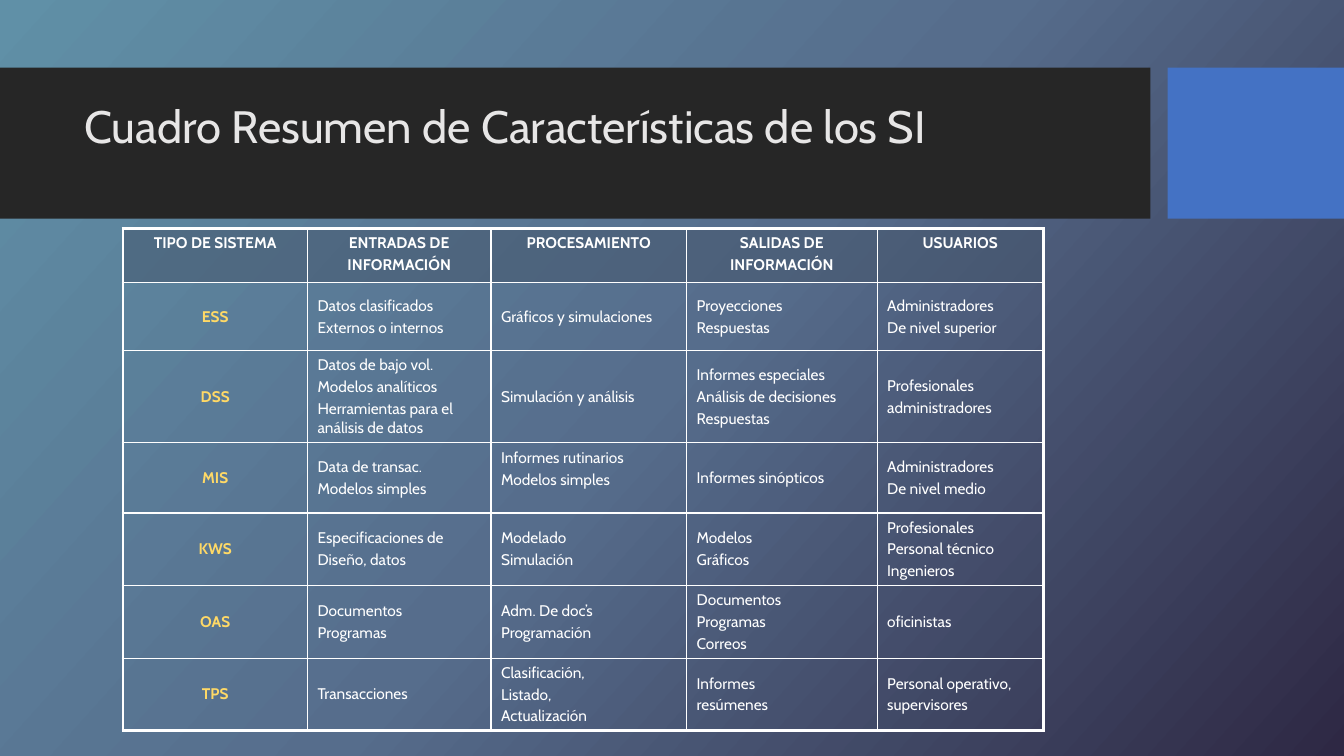
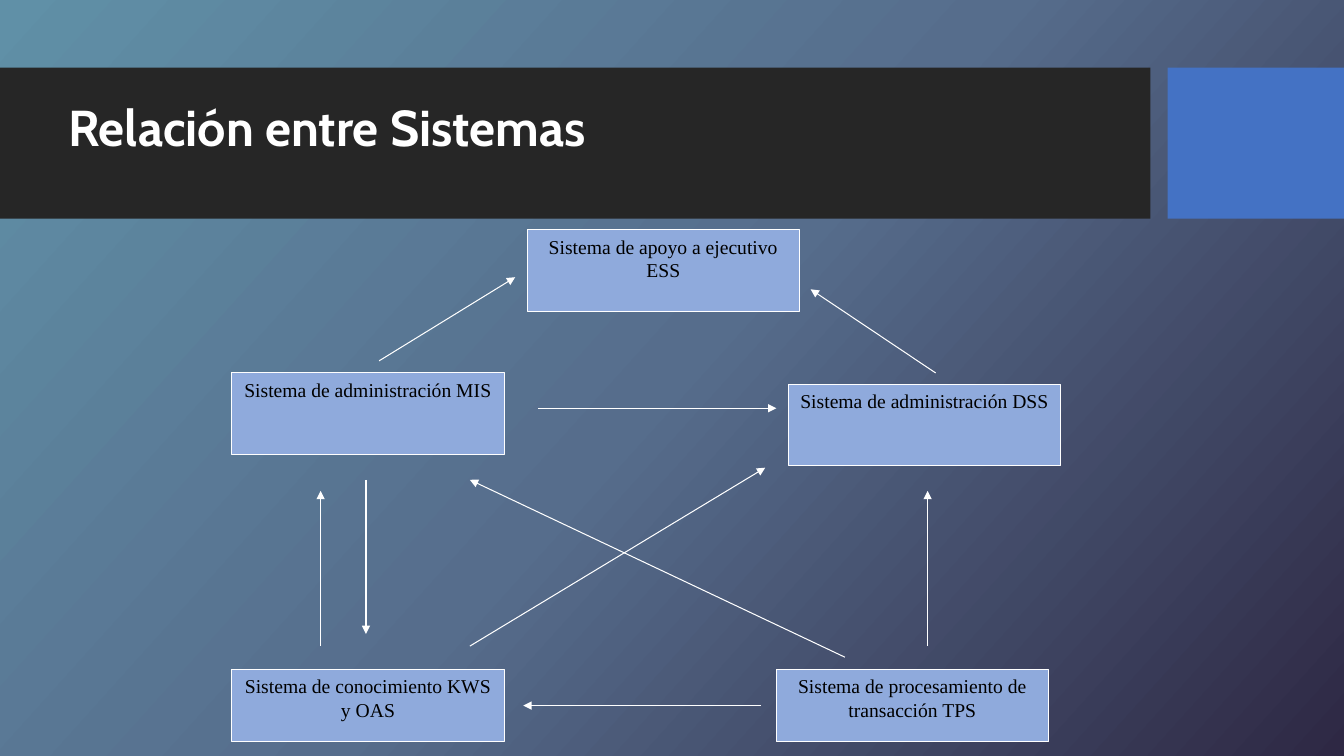
from dataclasses import dataclass

from pptx import Presentation
from pptx import util as u
from pptx.dml.color import RGBColor
from pptx.enum import shapes, text
from pptx.oxml import parse_xml
from pptx.oxml.ns import nsdecls, qn


@dataclass(frozen=True)
class Theme:
    white: str = "FFFFFF"
    title_gray: str = "E7E6E6"
    band: str = "262626"
    accent: str = "4472C4"
    header: str = "44546A"
    system: str = "FFD966"
    box: str = "8FAADC"
    ink: str = "000000"
    gradient: tuple = ((0, "6090A7"), (50, "566D8C"), (100, "2E2844"))
    angle: int = 42
    font: str = "Cabin"
    box_font: str = "Times New Roman"
    table_size: float = 11
    box_size: float = 14
    thin: float = 1
    thick: float = 2.25
    hairline: float = 0.75


theme = Theme()


def style(para, name, size, color, bold=False):
    para.font.name = name
    para.font.size = u.Pt(size)
    para.font.bold = bold
    para.font.color.rgb = RGBColor.from_string(color)


def add_box(parent, left, top, width, height, fill):
    box = parent.add_shape(shapes.MSO_SHAPE.RECTANGLE, u.Inches(left), u.Inches(top),
                           u.Inches(width), u.Inches(height))
    box.shadow.inherit = False
    box.fill.solid()
    box.fill.fore_color.rgb = RGBColor.from_string(fill)
    box.line.fill.background()
    return box


deck = Presentation()
deck.slide_width = u.Inches(13.33)
deck.slide_height = u.Inches(7.5)
layout = deck.slide_layouts[6]

stops = "".join(f'<a:gs pos="{position * 1000}"><a:srgbClr val="{color}"/></a:gs>'
                for position, color in theme.gradient)
layout.element.find(qn("p:cSld")).insert(0, parse_xml(
    f'<p:bg {nsdecls("p", "a")}><p:bgPr><a:gradFill rotWithShape="1"><a:gsLst>{stops}</a:gsLst>'
    f'<a:lin ang="{theme.angle * 60000}" scaled="0"/></a:gradFill><a:effectLst/></p:bgPr></p:bg>'))

titles = [
    ("Cuadro Resumen de Características de los SI", (0.74, 1.01, 10.51, 1.01),
     text.MSO_ANCHOR.TOP, 0.02, 32.4, theme.title_gray, False),
    ("Relación entre Sistemas", (0.58, 0.81, 9.06, 0.97),
     text.MSO_ANCHOR.MIDDLE, 0.05, 36, theme.white, True),
]
pages = []
for wording, place, anchor, inset, size, color, bold in titles:
    page = deck.slides.add_slide(layout)
    pages.append(page)
    title = page.shapes.add_textbox(*map(u.Inches, place))
    frame = title.text_frame
    frame.word_wrap = True
    frame.vertical_anchor = anchor
    frame.margin_top = u.Inches(inset)
    para = frame.paragraphs[0]
    para.text = wording
    para.line_spacing = 0.9
    style(para, theme.font, size, color, bold)
table_page, diagram_page = pages

for left, width, color in ((0, 11.41, theme.band), (11.58, 1.75, theme.accent)):
    band = add_box(table_page.shapes, left, 0.67, width, 1.5, color)
    layout.shapes.element.append(band.element)

rows = [
    ["TIPO DE SISTEMA", "ENTRADAS DE\nINFORMACIÓN", "PROCESAMIENTO",
     "SALIDAS DE\nINFORMACIÓN", "USUARIOS"],
    ["ESS", "Datos clasificados\nExternos o internos", "Gráficos y simulaciones",
     "Proyecciones\nRespuestas", "Administradores\nDe nivel superior"],
    ["DSS", "Datos de bajo vol.\nModelos analíticos\nHerramientas para el análisis de datos",
     "Simulación y análisis", "Informes especiales\nAnálisis de decisiones\nRespuestas",
     "Profesionales\nadministradores"],
    ["MIS", "Data de transac.\nModelos simples", "Informes rutinarios\nModelos simples",
     "Informes sinópticos", "Administradores\nDe nivel medio"],
    ["KWS", "Especificaciones de\nDiseño, datos", "Modelado\nSimulación", "Modelos\nGráficos",
     "Profesionales\nPersonal técnico\nIngenieros"],
    ["OAS", "Documentos\nProgramas", "Adm. De doc’s\nProgramación",
     "Documentos\nProgramas\nCorreos", "oficinistas"],
    ["TPS", "Transacciones", "Clasificación,\nListado,\nActualización", "Informes\nresúmenes",
     "Personal operativo,\nsupervisores"],
]
column_widths = [1.83, 1.82, 1.94, 1.89, 1.65]
row_heights = [0.53, 0.68, 0.91, 0.7, 0.72, 0.72, 0.72]
table = table_page.shapes.add_table(
    len(rows), len(column_widths), u.Inches(1.22), u.Inches(2.27),
    u.Inches(sum(column_widths)), u.Inches(sum(row_heights))).table
table.horz_banding = False
for column, width in zip(table.columns, column_widths):
    column.width = u.Inches(width)
for row, height in zip(table.rows, row_heights):
    row.height = u.Inches(height)

last_row, last_column = len(rows) - 1, len(column_widths) - 1
for r, row in enumerate(rows):
    for c, wording in enumerate(row):
        cell = table.cell(r, c)
        is_header, is_system = r == 0, r > 0 and c == 0
        cell.vertical_anchor = text.MSO_ANCHOR.TOP if is_header else text.MSO_ANCHOR.MIDDLE
        cell.text = wording
        for index, para in enumerate(cell.text_frame.paragraphs):
            para.alignment = text.PP_ALIGN.CENTER if is_header or is_system else text.PP_ALIGN.LEFT
            if index:
                para.space_before = u.Pt(2.2)
            style(para, theme.font, theme.table_size,
                  theme.system if is_system else theme.white, is_header or is_system)
        if is_header:
            cell.fill.solid()
            cell.fill.fore_color.rgb = RGBColor.from_string(theme.header)
            tint = next(cell.fill._xPr.iter(qn("a:srgbClr")))
            tint.append(parse_xml(f'<a:alpha {nsdecls("a")} val="50000"/>'))
        else:
            cell.fill.background()
        edges = {"L": c == 0, "R": c == last_column, "T": r == 0, "B": r == last_row}
        properties = cell._tc.get_or_add_tcPr()
        for index, (side, is_outer) in enumerate(edges.items()):
            weight = u.Pt(theme.thick if is_outer else theme.thin)
            properties.insert(index, parse_xml(
                f'<a:ln{side} {nsdecls("a")} w="{weight}"><a:solidFill>'
                f'<a:srgbClr val="{theme.white}"/></a:solidFill></a:ln{side}>'))
table.cell(3, 2).margin_bottom = u.Inches(0.22)

diagram = diagram_page.shapes.add_group_shape().shapes
systems = [
    ("Sistema de administración MIS", 2.3, 3.7, 0.81),
    ("Sistema de apoyo a ejecutivo ESS", 5.23, 2.28, 0.81),
    ("Sistema de administración DSS", 7.82, 3.81, 0.81),
    ("Sistema de conocimiento KWS y OAS", 2.3, 6.64, 0.72),
    ("Sistema de procesamiento de transacción TPS", 7.7, 6.64, 0.72),
]
for wording, left, top, height in systems:
    box = add_box(diagram, left, top, 2.7, height, theme.box)
    box.line.color.rgb = RGBColor.from_string(theme.white)
    box.line.width = u.Pt(theme.hairline)
    frame = box.text_frame
    frame.word_wrap = True
    frame.vertical_anchor = text.MSO_ANCHOR.TOP
    para = frame.paragraphs[0]
    para.text = wording
    para.alignment = text.PP_ALIGN.CENTER
    style(para, theme.box_font, theme.box_size, theme.ink)

flows = [
    (3.76, 3.58, 5.11, 2.75),
    (9.28, 3.7, 8.04, 2.87),
    (5.34, 4.05, 7.7, 4.05),
    (7.55, 7, 5.19, 7),
    (4.66, 6.41, 7.59, 4.64),
    (8.38, 6.52, 4.66, 4.76),
    (3.18, 6.41, 3.18, 4.87),
    (3.63, 4.76, 3.63, 6.29),
    (9.2, 6.41, 9.2, 4.87),
]
for ends in flows:
    arrow = diagram.add_connector(shapes.MSO_CONNECTOR.STRAIGHT, *map(u.Inches, ends))
    arrow.line.color.rgb = RGBColor.from_string(theme.white)
    arrow.line.width = u.Pt(theme.hairline)
    arrow.line._get_or_add_ln().append(parse_xml(f'<a:tailEnd {nsdecls("a")} type="triangle"/>'))
    arrow.element.spPr.append(parse_xml(f'<a:effectLst {nsdecls("a")}/>'))

deck.save("out.pptx")
